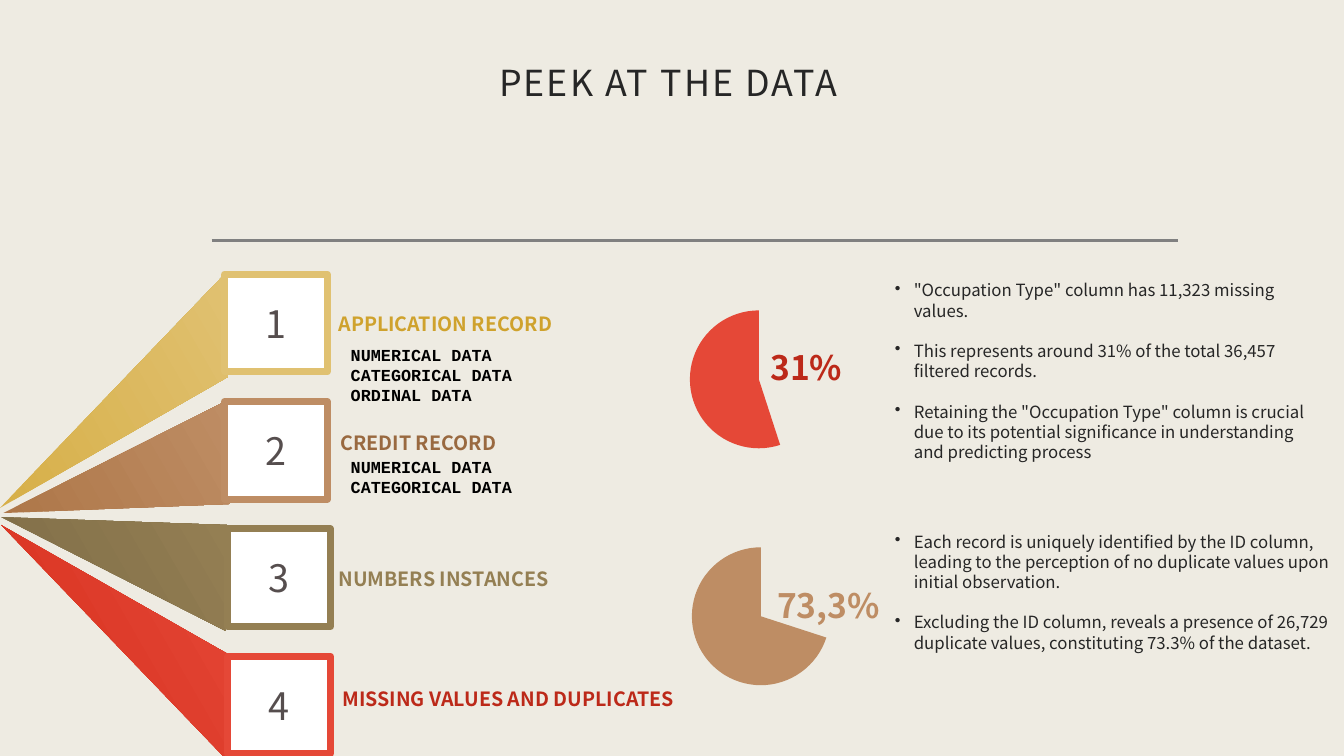
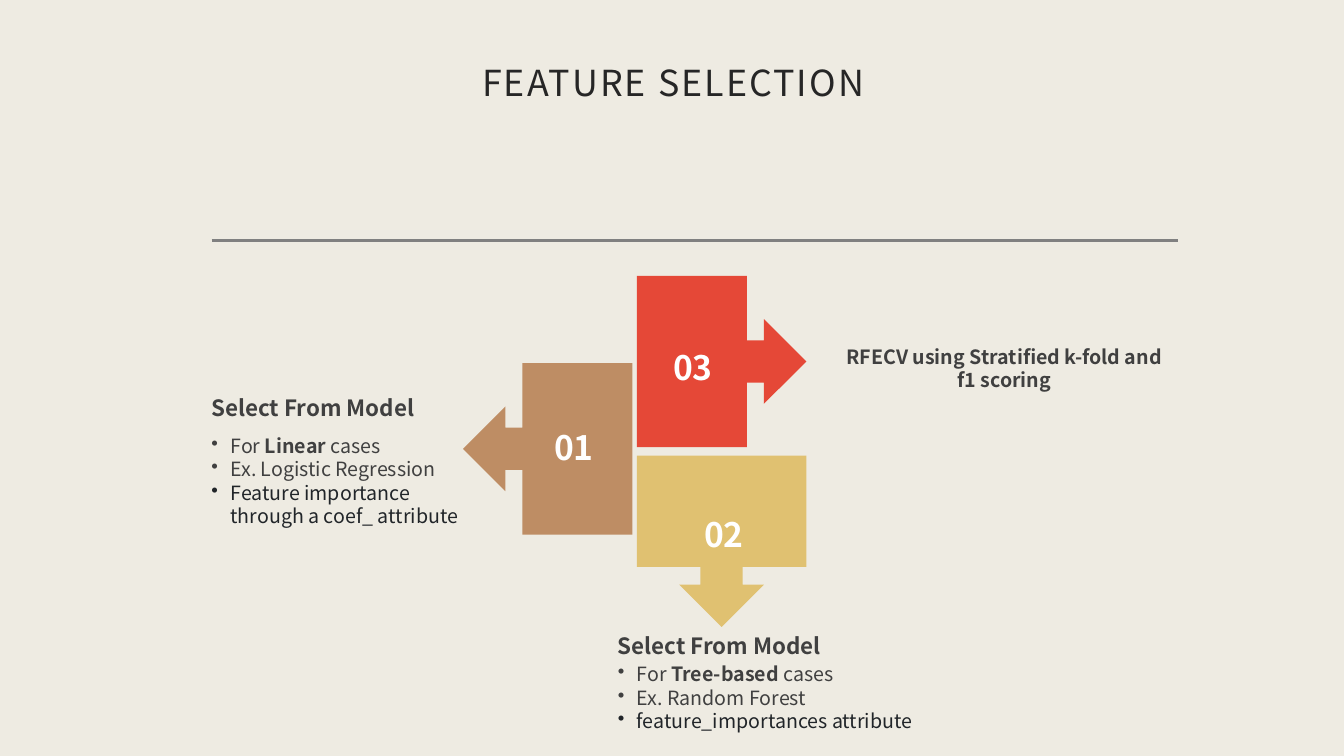
"""Build two slides: an overview of the data and the feature selection methods."""
from lxml import etree
from pptx import Presentation
from pptx.chart.data import CategoryChartData
from pptx.dml.color import RGBColor
from pptx.enum.chart import XL_CHART_TYPE
from pptx.enum.shapes import MSO_CONNECTOR, MSO_SHAPE
from pptx.enum.text import MSO_ANCHOR, PP_ALIGN
from pptx.oxml import parse_xml
from pptx.oxml.ns import nsdecls, qn
from pptx.util import Cm, Pt

LEFT, CENTER = PP_ALIGN.LEFT, PP_ALIGN.CENTER
TOP, MIDDLE = MSO_ANCHOR.TOP, MSO_ANCHOR.MIDDLE
RECTANGLE = MSO_SHAPE.RECTANGLE
LEFT_CALLOUT = MSO_SHAPE.LEFT_ARROW_CALLOUT
RIGHT_CALLOUT = MSO_SHAPE.RIGHT_ARROW_CALLOUT
DOWN_CALLOUT = MSO_SHAPE.DOWN_ARROW_CALLOUT
STRAIGHT = MSO_CONNECTOR.STRAIGHT
PIE = XL_CHART_TYPE.PIE

FONT = "Noto Sans CJK JP"
MONO = "Courier New"

CREAM = RGBColor(0xEE, 0xEB, 0xE2)
WHITE = RGBColor(0xFF, 0xFF, 0xFF)
BLACK = RGBColor(0x00, 0x00, 0x00)
GRAY = RGBColor(0x80, 0x80, 0x80)
INK = RGBColor(0x26, 0x26, 0x26)
SLATE = RGBColor(0x40, 0x40, 0x40)
CODE_INK = RGBColor(0x21, 0x25, 0x29)
NUMBER_INK = RGBColor(0x56, 0x4E, 0x4E)
GOLD = RGBColor(0xE0, 0xC1, 0x71)
GOLD_DEEP = RGBColor(0xD7, 0xAF, 0x48)
GOLD_TEXT = RGBColor(0xCF, 0xA2, 0x2D)
TAN = RGBColor(0xBE, 0x8D, 0x64)
TAN_DEEP = RGBColor(0xAE, 0x77, 0x49)
TAN_TEXT = RGBColor(0x99, 0x69, 0x40)
OLIVE = RGBColor(0x94, 0x7F, 0x53)
OLIVE_DEEP = RGBColor(0x7E, 0x6C, 0x47)
RED = RGBColor(0xE5, 0x48, 0x37)
RED_DEEP = RGBColor(0xD6, 0x2E, 0x1C)
RED_TEXT = RGBColor(0xBC, 0x29, 0x19)


def add_bullet(paragraph):
    """Give a paragraph a hanging round bullet."""
    properties = paragraph._p.get_or_add_pPr()
    properties.set("marL", str(Cm(0.48)))
    properties.set("indent", str(-Cm(0.48)))
    etree.SubElement(properties, qn("a:buChar")).set("char", "•")


def write_text(frame, paragraphs, size=12, color=INK, bold=False, font=FONT,
               align=LEFT, anchor=TOP, bullet=False, line=None, before=0,
               after=0, tracking=0, insets=(0.25, 0.13, 0.25, 0.13)):
    """Fill a frame; a paragraph is a string or a list of (text, changes) runs."""
    frame.word_wrap = True
    frame.vertical_anchor = anchor
    (frame.margin_left, frame.margin_top,
     frame.margin_right, frame.margin_bottom) = map(Cm, insets)
    if isinstance(paragraphs, str):
        paragraphs = [paragraphs]
    for index, runs in enumerate(paragraphs):
        paragraph = frame.add_paragraph() if index else frame.paragraphs[0]
        paragraph.alignment = align
        paragraph.space_before, paragraph.space_after = Pt(before), Pt(after)
        if line:
            paragraph.line_spacing = line
        if bullet:
            add_bullet(paragraph)
        for text, changes in [(runs, {})] if isinstance(runs, str) else runs:
            run = paragraph.add_run()
            run.text = text
            run.font.name = font
            run.font.size = Pt(size)
            run.font.bold = changes.get("bold", bold)
            run.font.color.rgb = changes.get("color", color)
            if tracking:
                run._r.get_or_add_rPr().set("spc", str(tracking))


class Deck:
    """Hold the shared style and the current slide."""

    def __init__(self):
        """Start an empty widescreen presentation."""
        self.presentation = Presentation()
        self.presentation.slide_width = Cm(33.87)
        self.presentation.slide_height = Cm(19.05)
        self.slide = None

    def start_slide(self, title):
        """Add a slide with background, rule and title."""
        layout = self.presentation.slide_layouts[6]
        self.slide = self.presentation.slides.add_slide(layout)
        background = self.slide.background.fill
        background.solid()
        background.fore_color.rgb = CREAM
        self.rule(5.33, 29.69, 6.05)
        self.text(title, 0.89, 0.94, 32.16, 2.01, size=25.6, align=CENTER,
                  anchor=MIDDLE, line=1.2, before=9.3, tracking=150,
                  insets=(0.3, 0.3, 0.3, 0.25))

    def rule(self, start, end, top):
        """Draw a horizontal line."""
        connector = self.slide.shapes.add_connector(
            STRAIGHT, Cm(start), Cm(top), Cm(end), Cm(top))
        connector.line.color.rgb = GRAY
        connector.line.width = Pt(2)
        etree.SubElement(connector.element.spPr, qn("a:effectLst"))

    def text(self, paragraphs, left, top, width, height, **style):
        """Add a text box."""
        box = self.slide.shapes.add_textbox(
            Cm(left), Cm(top), Cm(width), Cm(height))
        write_text(box.text_frame, paragraphs, **style)

    def shape(self, kind, left, top, width, height, fill, outline=None):
        """Add a filled preset shape and return it."""
        shape = self.slide.shapes.add_shape(
            kind, Cm(left), Cm(top), Cm(width), Cm(height))
        shape.shadow.inherit = False
        shape.fill.solid()
        shape.fill.fore_color.rgb = fill
        if outline is None:
            shape.line.fill.background()
        else:
            shape.line.color.rgb = outline
            shape.line.width = Pt(5)
        return shape

    def number_box(self, number, left, top, color):
        """Add a framed white box with a number."""
        box = self.shape(RECTANGLE, left, top, 2.59, 2.46, WHITE, color)
        write_text(box.text_frame, number, size=27, color=NUMBER_INK,
                   align=CENTER, anchor=MIDDLE)

    def beam(self, corners, dark, light):
        """Add a triangular beam that lightens towards the upper right."""
        first, *others = [(Cm(x), Cm(y)) for x, y in corners]
        builder = self.slide.shapes.build_freeform(*first)
        builder.add_line_segments(others)
        beam = builder.convert_to_shape()
        beam.shadow.inherit = False
        beam.line.fill.background()
        beam.fill.gradient()
        beam.fill.gradient_angle = 30
        for stop, color in zip(beam.fill.gradient_stops, (dark, light)):
            stop.color.rgb = color

    def pie(self, values, color, left, top):
        """Add a pie that shows only its second slice."""
        data = CategoryChartData()
        data.categories = ["1", "2"]
        data.add_series("Series 1", values)
        chart = self.slide.shapes.add_chart(
            PIE, Cm(left), Cm(top), Cm(4.27), Cm(4.24), data).chart
        chart.has_legend = False
        chart.has_title = False
        chart.font.name, chart.font.size = FONT, Pt(10)
        chart.font.color.rgb = BLACK
        plot = chart.plots[0]
        plot.vary_by_categories = False
        rest, share = (plot.series[0].points[index].format for index in (0, 1))
        rest.fill.background()
        share.fill.solid()
        share.fill.fore_color.rgb = color
        for part in (rest, share):
            part.line.fill.background()
        self.place_plot(chart)

    @staticmethod
    def place_plot(chart):
        """Centre the plot area and clear the chart background."""
        space = chart.element
        area = space.chart.plotArea
        for layout in area.findall(qn("c:layout")):
            area.remove(layout)
        settings = {"layoutTarget": "inner", "xMode": "edge", "yMode": "edge",
                    "x": 0.09, "y": 0.09, "w": 0.82, "h": 0.82}
        items = "".join(f'<c:{name} val="{value}"/>'
                        for name, value in settings.items())
        area.insert(0, parse_xml(
            f'<c:layout {nsdecls("c")}><c:manualLayout>{items}'
            '</c:manualLayout></c:layout>'))
        space.chart.addnext(parse_xml(
            f'<c:spPr {nsdecls("c", "a")}><a:noFill/>'
            '<a:ln><a:noFill/></a:ln></c:spPr>'))


def build_data_slide(deck):
    """Show the four parts of the data and two shares."""
    deck.start_slide("PEEK AT THE DATA ")
    parts = [
        ("APPLICATION RECORD", GOLD_DEEP, GOLD, GOLD_TEXT, 5.66, 8.28, 7.72,
         [(5.69, 6.88), (0, 12.8), (5.74, 9.5)]),
        ("CREDIT RECORD", TAN_DEEP, TAN, TAN_TEXT, 5.66, 8.33, 10.74,
         [(5.79, 10.06), (0.08, 12.93), (5.79, 12.7)]),
        ("NUMBERS INSTANCES", OLIVE_DEEP, OLIVE, OLIVE, 5.74, 8.28, 14.15,
         [(5.69, 15.9), (0.03, 13.03), (5.72, 13.23)]),
        ("MISSING VALUES AND DUPLICATES", RED_DEEP, RED, RED_TEXT, 5.74, 8.38,
         17.17, [(5.72, 19.15), (0.03, 13.23), (5.74, 16.48)]),
    ]
    for index, (label, dark, light, ink, box_left, label_left, label_top,
                corners) in enumerate(parts):
        deck.beam(corners, dark, light)
        deck.number_box(str(index + 1), box_left, 6.91 + 3.21 * index, light)
        deck.text(label, label_left, label_top, 13, 0.86,
                  size=14, color=ink, bold=True)

    kinds = ["NUMERICAL DATA", "CATEGORICAL DATA", "ORDINAL DATA"]
    for lines, top in ((kinds, 8.56), (kinds[:2], 11.38)):
        deck.text(lines, 8.59, top, 7.44, 0.6 * len(lines),
                  font=MONO, color=BLACK, bold=True)

    missing = [
        '"Occupation Type" column has 11,323 missing values.',
        "This represents around 31% of the total 36,457 filtered records.",
        'Retaining the "Occupation Type" column is crucial due to its potential '
        "significance in understanding and predicting process",
    ]
    duplicates = [
        "Each record is uniquely identified by the ID column, leading to the "
        "perception of no duplicate values upon initial observation.",
        "Excluding the ID column, reveals a presence of 26,729 duplicate "
        "values, constituting 73.3% of the dataset.",
    ]
    shares = [
        ("31%", RED_TEXT, 18.34, 8.61, missing, 11.18, 6.93,
         (45, 55), RED, 16.99, 7.44),
        ("73,3%", TAN, 18.9, 14.61, duplicates, 11.48, 13.26,
         (30, 70), TAN, 17.04, 13.41),
    ]
    for (label, ink, left, top, notes, notes_width, notes_top,
         values, color, pie_left, pie_top) in shares:
        deck.text(label, left, top, 3.96, 1.27, size=24, color=ink, bold=True,
                  align=CENTER, anchor=MIDDLE)
        deck.text(notes, 22.3, notes_top, notes_width, 4.5,
                  bullet=True, after=14.5)
        deck.pie(values, color, pie_left, pie_top)


def build_selection_slide(deck):
    """Show three selection methods around a pinwheel of arrows."""
    deck.start_slide("FEATURE SELECTION")
    arrows = [
        ("01", LEFT_CALLOUT, 11.67, 9.15, 4.27, 4.32, TAN, 13.64, 10.62),
        ("02", DOWN_CALLOUT, 16.05, 11.48, 4.27, 4.32, GOLD, 17.42, 12.83),
        ("03", RIGHT_CALLOUT, 16.05, 6.95, 4.27, 4.32, RED, 16.64, 8.61),
    ]
    for number, kind, left, top, width, height, color, x, y in arrows:
        deck.shape(kind, left, top, width, height, color)
        deck.text(number, x, y, 1.65, 1.27, size=24, color=WHITE, bold=True,
                  align=CENTER)

    strong, code = {"bold": True}, {"color": CODE_INK}
    methods = [
        ("Linear ", "Ex. Logistic Regression",
         "Feature importance through a coef_ attribute", 5.08, 9.8, 10.8, 7.2),
        ("Tree-based ", "Ex. Random Forest",
         "feature_importances attribute", 15.32, 15.8, 16.56, 8.86),
    ]
    for case, example, attribute, left, head_top, list_top, width in methods:
        deck.text("Select From Model", left, head_top, width, 0.94,
                  size=16, color=SLATE, bold=True)
        points = [[("For ", {}), (case, strong), ("cases", {})],
                  example, [(attribute, code)]]
        deck.text(points, left, list_top, width, 2.06,
                  size=14, color=SLATE, bullet=True)
    deck.text("RFECV using Stratified k-fold and f1 scoring",
              20.88, 8.56, 8.86, 1.45, size=14, color=SLATE, bold=True,
              align=CENTER)


def main():
    """Build and save the presentation."""
    deck = Deck()
    build_data_slide(deck)
    build_selection_slide(deck)
    deck.presentation.save("out.pptx")


if __name__ == "__main__":
    main()
